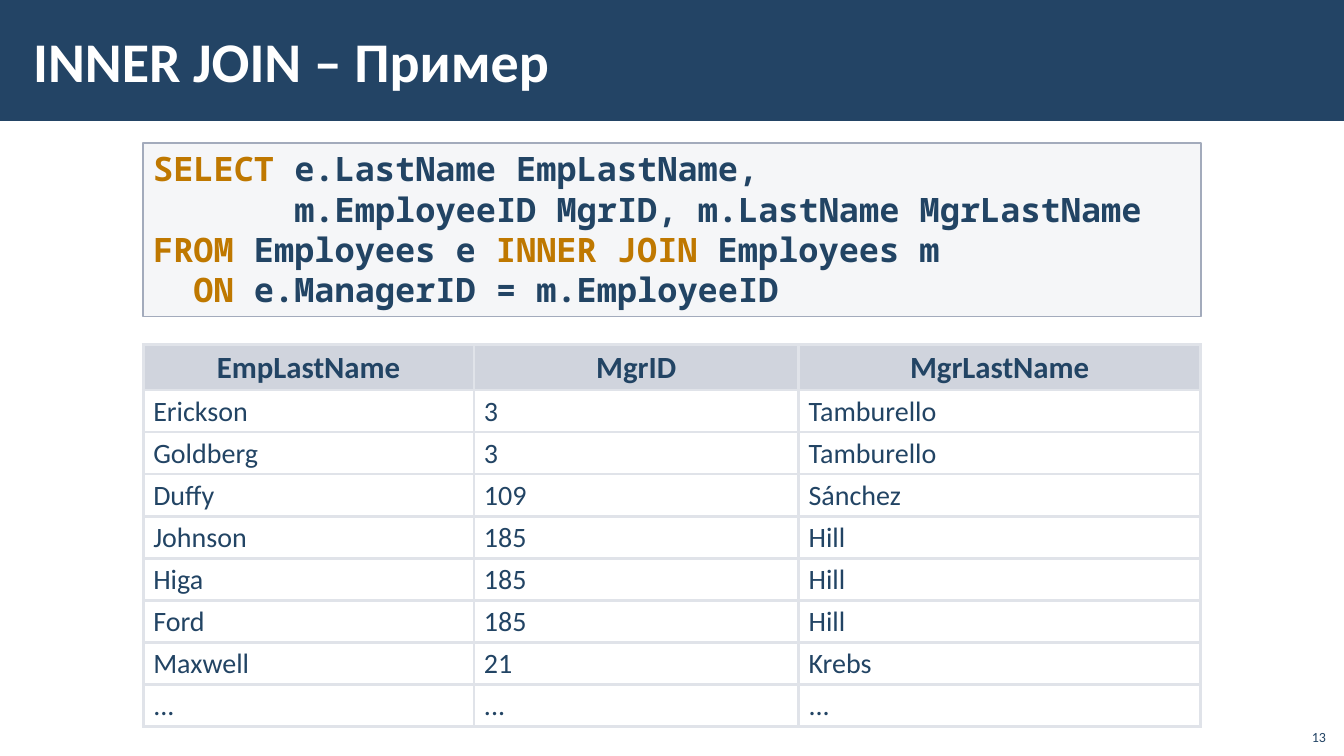
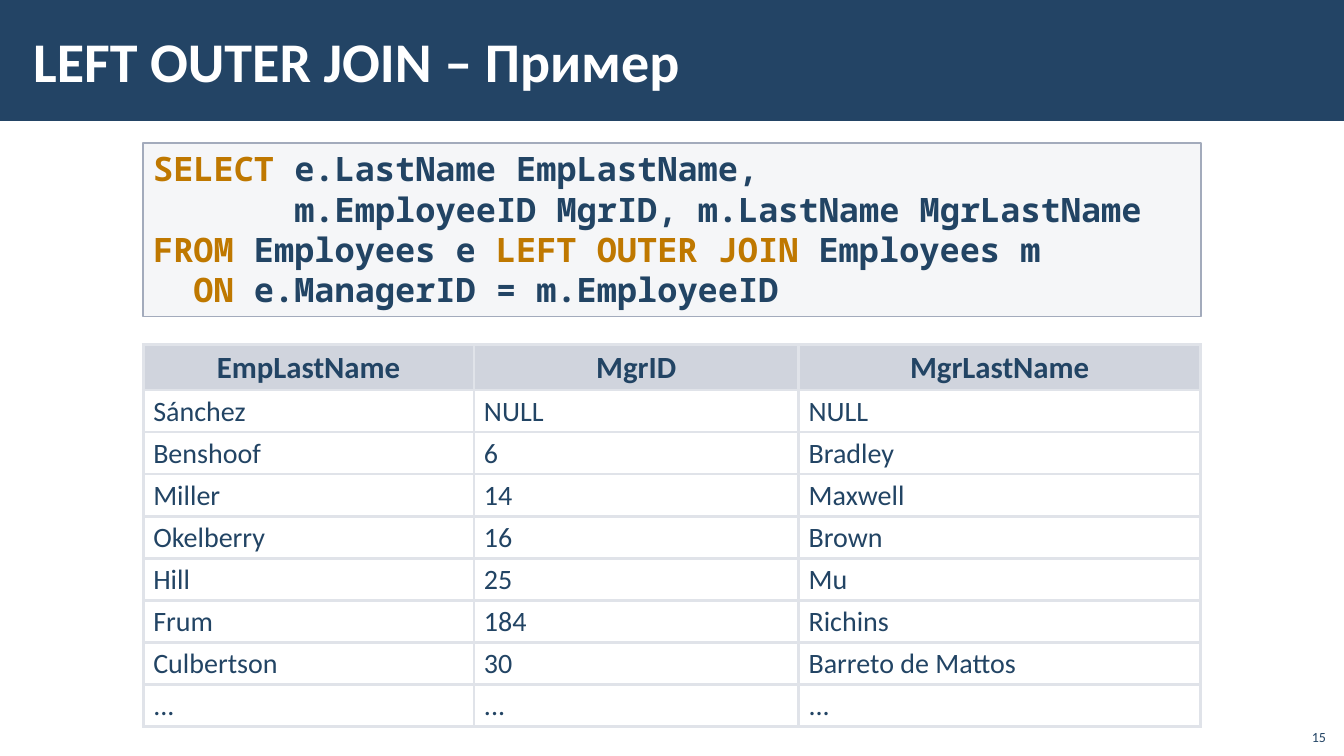
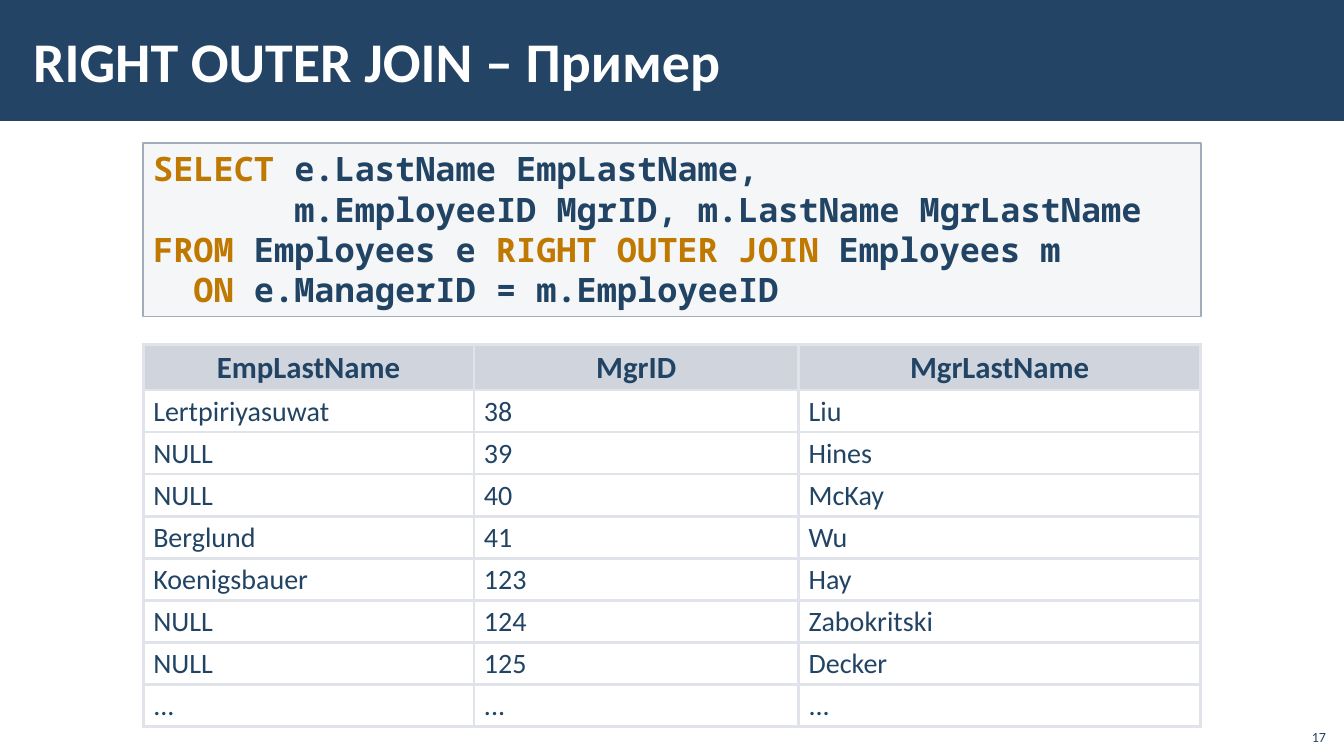
"""Builds three slides showing SQL joins, each with a query and its result."""
from lxml.etree import SubElement
from pptx import Presentation
from pptx.dml.color import RGBColor
from pptx.enum.shapes import MSO_SHAPE
from pptx.enum.text import MSO_ANCHOR, MSO_AUTO_SIZE, PP_ALIGN
from pptx.oxml.ns import qn
from pptx.util import Inches, Pt

WHITE = RGBColor(0xFF, 0xFF, 0xFF)
BAND_BLUE = RGBColor(0x23, 0x44, 0x65)
TEXT_BLUE = RGBColor(0x22, 0x44, 0x64)
KEYWORD_ORANGE = RGBColor(0xBF, 0x78, 0x00)
QUERY_GREY = RGBColor(0xC2, 0xC7, 0xD2)
HEADER_GREY = RGBColor(0xA3, 0xAB, 0xBC)
GRID_GREY = RGBColor(0xE0, 0xE3, 0xE9)
BODY_FONT = "Calibri"
CODE_FONT = "Noto Sans Mono"

QUERY = [
    "*SELECT* e.LastName EmpLastName,",
    "       m.EmployeeID MgrID, m.LastName MgrLastName",
    "*FROM* Employees e *{join}* Employees m",
    "  *ON* e.ManagerID = m.EmployeeID",
]
COLUMNS = ("EmpLastName", "MgrID", "MgrLastName")
ELLIPSIS_ROW = ("...", "...", "...")
EXAMPLES = [
    ("INNER JOIN", 13, [
        ("Erickson", "3", "Tamburello"),
        ("Goldberg", "3", "Tamburello"),
        ("Duffy", "109", "Sánchez"),
        ("Johnson", "185", "Hill"),
        ("Higa", "185", "Hill"),
        ("Ford", "185", "Hill"),
        ("Maxwell", "21", "Krebs"),
    ]),
    ("LEFT OUTER JOIN", 15, [
        ("Sánchez", "NULL", "NULL"),
        ("Benshoof", "6", "Bradley"),
        ("Miller", "14", "Maxwell"),
        ("Okelberry", "16", "Brown"),
        ("Hill", "25", "Mu"),
        ("Frum", "184", "Richins"),
        ("Culbertson", "30", "Barreto de Mattos"),
    ]),
    ("RIGHT OUTER JOIN", 17, [
        ("Lertpiriyasuwat", "38", "Liu"),
        ("NULL", "39", "Hines"),
        ("NULL", "40", "McKay"),
        ("Berglund", "41", "Wu"),
        ("Koenigsbauer", "123", "Hay"),
        ("NULL", "124", "Zabokritski"),
        ("NULL", "125", "Decker"),
    ]),
]

SLIDE_WIDTH, SLIDE_HEIGHT = Inches(13.33), Inches(7.5)
CONTENT_LEFT, CONTENT_WIDTH = Inches(1.42), Inches(10.49)
COLUMN_WIDTHS = (Inches(3.28), Inches(3.22), Inches(3.99))
TABLE_HEIGHT, HEADER_HEIGHT = Inches(3.78), Inches(0.44)


def style(font, size, color, name=BODY_FONT, bold=False):
    font.name, font.size, font.bold = name, Pt(size), bold
    font.color.rgb = color


def fill_tint(fill, color, percent):
    fill.solid()
    fill.fore_color.rgb = color
    color_element = fill._xPr.find(qn("a:solidFill"))[0]
    SubElement(color_element, qn("a:alpha"), val=str(percent * 1000))


def add_rectangle(slide, left, top, width, height):
    rectangle = slide.shapes.add_shape(MSO_SHAPE.RECTANGLE, left, top, width, height)
    rectangle.shadow.inherit = False
    return rectangle


def add_label(slide, text, box, anchor):
    frame = slide.shapes.add_textbox(*map(Inches, box)).text_frame
    frame.word_wrap = True
    frame.vertical_anchor = anchor
    frame.text = text
    return frame


def add_frame(slide, title, page):
    band = add_rectangle(slide, 0, 0, SLIDE_WIDTH, Inches(1.2))
    band.fill.solid()
    band.fill.fore_color.rgb = BAND_BLUE
    band.line.fill.background()

    heading = add_label(slide, title, (0.21, 0.11, 11.23, 0.97), MSO_ANCHOR.MIDDLE)
    heading.margin_left = heading.margin_right = Inches(0.12)
    heading.margin_top = heading.margin_bottom = Inches(0.04)
    style(heading.paragraphs[0].font, 40, WHITE, bold=True)

    footer = add_label(slide, str(page), (12.85, 7.12, 0.4, 0.32), MSO_ANCHOR.BOTTOM)
    footer.paragraphs[0].alignment = PP_ALIGN.RIGHT
    style(footer.paragraphs[0].font, 10, BAND_BLUE)


def add_query(slide, join):
    panel = add_rectangle(slide, CONTENT_LEFT, Inches(1.42), CONTENT_WIDTH, Inches(1.72))
    fill_tint(panel.fill, QUERY_GREY, 15)
    panel.line.color.rgb = HEADER_GREY
    panel.line.width = Pt(1)
    frame = panel.text_frame
    frame.word_wrap = True
    frame.auto_size = MSO_AUTO_SIZE.SHAPE_TO_FIT_TEXT
    frame.vertical_anchor = MSO_ANCHOR.TOP
    for number, line in enumerate(QUERY):
        paragraph = frame.add_paragraph() if number else frame.paragraphs[0]
        paragraph.alignment = PP_ALIGN.LEFT
        style(paragraph.font, 24, TEXT_BLUE, CODE_FONT, bold=True)
        for position, part in enumerate(line.format(join=join).split("*")):
            if part:
                run = paragraph.add_run()
                run.text = part
                run.font.color.rgb = KEYWORD_ORANGE if position % 2 else TEXT_BLUE


def add_borders(cell):
    properties = cell._tc.get_or_add_tcPr()
    for side in ("a:lnL", "a:lnR", "a:lnT", "a:lnB"):
        border = SubElement(properties, qn(side), w=str(Pt(2.25)))
        solid = SubElement(border, qn("a:solidFill"))
        SubElement(solid, qn("a:srgbClr"), val=str(GRID_GREY))


def add_result(slide, records):
    rows = [COLUMNS, *records, ELLIPSIS_ROW]
    table = slide.shapes.add_table(len(rows), len(COLUMNS), CONTENT_LEFT, Inches(3.42),
                                   CONTENT_WIDTH, TABLE_HEIGHT).table
    table.first_row = table.horz_banding = False
    for column, width in zip(table.columns, COLUMN_WIDTHS):
        column.width = width
    record_height = (TABLE_HEIGHT - HEADER_HEIGHT) // (len(rows) - 1)
    for row_number, values in enumerate(rows):
        is_header = row_number == 0
        table.rows[row_number].height = HEADER_HEIGHT if is_header else record_height
        for cell, value in zip(table.rows[row_number].cells, values):
            cell.text = value
            cell.vertical_anchor = MSO_ANCHOR.MIDDLE
            add_borders(cell)
            paragraph = cell.text_frame.paragraphs[0]
            paragraph.line_spacing = 0.95
            if is_header:
                fill_tint(cell.fill, HEADER_GREY, 50)
                paragraph.alignment = PP_ALIGN.CENTER
            else:
                cell.fill.background()
            style(paragraph.font, 22 if is_header else 20, TEXT_BLUE, bold=is_header)


def main():
    deck = Presentation()
    deck.slide_width, deck.slide_height = SLIDE_WIDTH, SLIDE_HEIGHT
    for join, page, records in EXAMPLES:
        slide = deck.slides.add_slide(deck.slide_layouts[6])
        add_frame(slide, f"{join} – Пример", page)
        add_query(slide, join)
        add_result(slide, records)
    deck.save("out.pptx")


if __name__ == "__main__":
    main()
